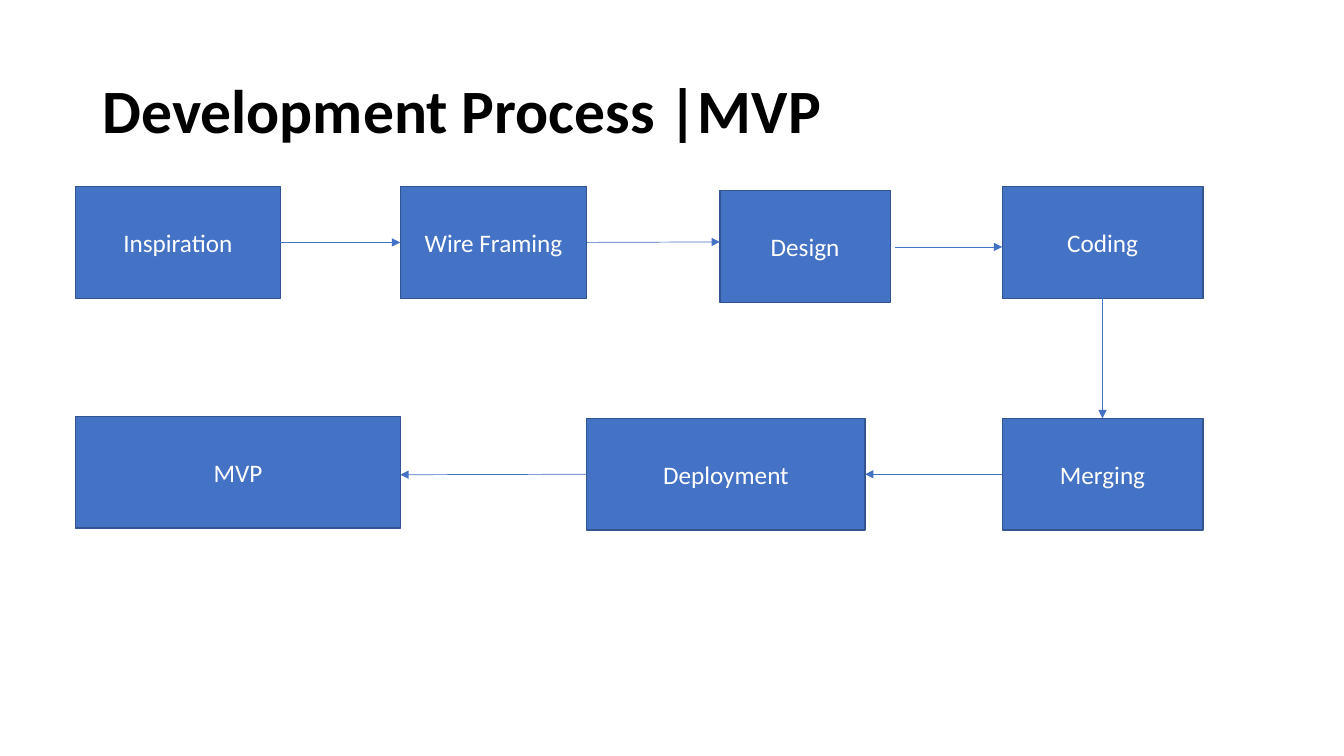
import pptx
import pptx.dml.color
import pptx.enum.shapes
import pptx.enum.text
import pptx.oxml
import pptx.oxml.ns
import pptx.util
from pptx.util import Inches

COLORS = {"title": "000000", "box": "4472C4", "border": "325491", "label": "FFFFFF"}
TOP, LEFT, BOTTOM, RIGHT = range(4)
BOX_HEIGHT = 1.11


def rgb(name):
    return pptx.dml.color.RGBColor.from_string(COLORS[name])


def write_text(shape, text, size, color, bold=False, align="LEFT", line_spacing=1.0):
    frame = shape.text_frame
    frame.word_wrap = True
    frame.vertical_anchor = pptx.enum.text.MSO_ANCHOR.MIDDLE
    paragraph = frame.paragraphs[0]
    paragraph.alignment = pptx.enum.text.PP_ALIGN[align]
    paragraph.line_spacing = line_spacing
    run = paragraph.add_run()
    run.text = text
    run.font.name = "Calibri"
    run.font.size = pptx.util.Pt(size)
    run.font.bold = bold
    run.font.color.rgb = rgb(color)


presentation = pptx.Presentation()
presentation.slide_width = Inches(13.33)
presentation.slide_height = Inches(7.5)
slide = presentation.slides.add_slide(presentation.slide_layouts[6])

title = slide.shapes.add_textbox(Inches(0.92), Inches(0.4), Inches(11.5), Inches(1.45))
write_text(title, "Development Process |MVP", size=44, color="title", bold=True, line_spacing=0.9)

# Process steps: left, top, width
steps = {
    "Inspiration": (0.75, 1.85, 2.03),
    "Wire Framing": (3.97, 1.85, 1.85),
    "Design": (7.14, 1.89, 1.69),
    "Coding": (9.94, 1.85, 1.99),
    "Merging": (9.94, 4.15, 1.99),
    "Deployment": (5.82, 4.15, 2.76),
    "MVP": (0.75, 4.13, 3.22),
}
boxes = {}
for name, (left, top, width) in steps.items():
    box = slide.shapes.add_shape(
        pptx.enum.shapes.MSO_SHAPE.RECTANGLE,
        Inches(left), Inches(top), Inches(width), Inches(BOX_HEIGHT))
    box.shadow.inherit = False
    box.fill.solid()
    box.fill.fore_color.rgb = rgb("box")
    box.line.color.rgb = rgb("border")
    box.line.width = pptx.util.Pt(1)
    write_text(box, name, size=18, color="label", align="CENTER")
    boxes[name] = box

# Arrows: start point, end point, then the (step, side) joined at each end
arrows = [
    ((2.78, 2.4), (3.97, 2.4), ("Inspiration", RIGHT), ("Wire Framing", LEFT)),
    ((5.82, 2.4), (7.14, 2.4), ("Wire Framing", RIGHT), None),
    ((8.88, 2.45), (9.94, 2.45), None, None),
    ((10.94, 2.96), (10.94, 4.15), ("Coding", BOTTOM), ("Merging", TOP)),
    ((9.94, 4.69), (8.58, 4.69), ("Merging", LEFT), ("Deployment", RIGHT)),
    ((5.82, 4.7), (3.97, 4.71), ("Deployment", LEFT), None),
]
for start, end, source, target in arrows:
    arrow = slide.shapes.add_connector(
        pptx.enum.shapes.MSO_CONNECTOR.STRAIGHT,
        *[Inches(length) for length in start + end])
    if source:
        arrow.begin_connect(boxes[source[0]], source[1])
    if target:
        arrow.end_connect(boxes[target[0]], target[1])
    arrow.line.color.rgb = rgb("box")
    arrow.line.width = pptx.util.Pt(0.5)
    head = pptx.oxml.parse_xml(f'<a:tailEnd {pptx.oxml.ns.nsdecls("a")} type="triangle"/>')
    arrow.line._get_or_add_ln().append(head)
    no_shadow = pptx.oxml.parse_xml(f'<a:effectLst {pptx.oxml.ns.nsdecls("a")}/>')
    arrow._element.spPr.append(no_shadow)

presentation.save("out.pptx")
